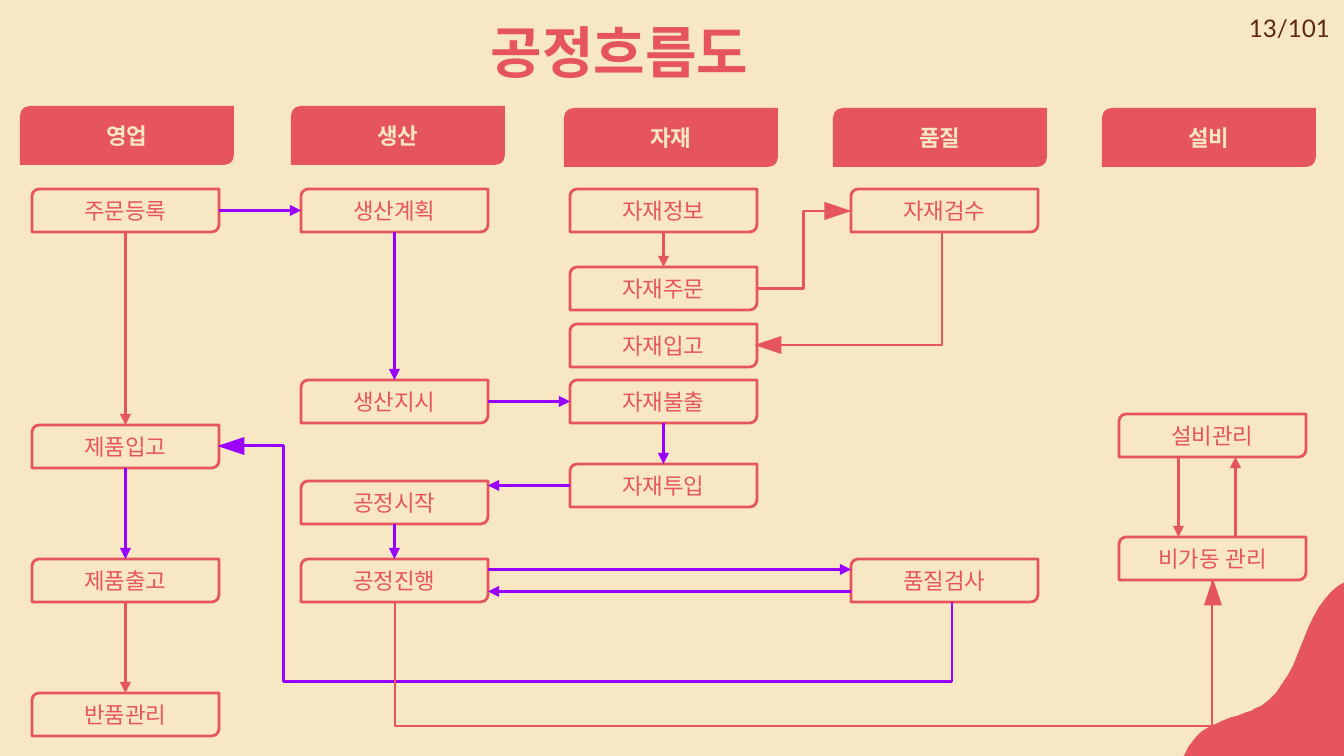
from lxml.etree import SubElement
from pptx import Presentation
from pptx.dml.color import RGBColor
from pptx.enum.shapes import MSO_CONNECTOR as CONNECTOR, MSO_SHAPE as SHAPE
from pptx.enum.text import MSO_ANCHOR as ANCHOR, MSO_AUTO_SIZE as AUTO_SIZE, PP_ALIGN as ALIGN
from pptx.oxml.ns import qn
from pptx.util import Emu, Pt

PX = 914400 / 134.4
SLIDE_W, SLIDE_H = 1344, 756
COLORS = {"cream": "F7E7C3", "red": "E6555C", "purple": "9900FF", "brown": "5D2912"}

TITLE = "공정흐름도 "
PAGE = "13/101"

# department: header left, header top, step left, [(step, top)]
DEPARTMENTS = {
    "영업": (20, 106, 32, [("주문등록", 189), ("제품입고", 425), ("제품출고", 559), ("반품관리", 693)]),
    "생산": (291, 106, 301, [("생산계획", 189), ("생산지시", 380), ("공정시작", 481), ("공정진행", 559)]),
    "자재": (564, 108, 570, [("자재정보", 189), ("자재주문", 267), ("자재입고", 324),
                           ("자재불출", 380), ("자재투입", 464)]),
    "품질": (833, 108, 851, [("자재검수", 189), ("품질검사", 559)]),
    "설비": (1102, 108, 1119, [("설비관리", 414), ("비가동 관리", 537)]),
}
HEADER_W, HEADER_H = 214, 59
STEP_W, STEP_H = 187, 43

# from step, to step, color, sideways offset from the centre of the first step
FLOWS = [
    ("주문등록", "제품입고", "red", 0),
    ("제품입고", "제품출고", "purple", 0),
    ("제품출고", "반품관리", "red", 0),
    ("주문등록", "생산계획", "purple", 0),
    ("생산계획", "생산지시", "purple", 0),
    ("생산지시", "자재불출", "purple", 0),
    ("자재정보", "자재주문", "red", 0),
    ("자재불출", "자재투입", "purple", 0),
    ("자재투입", "공정시작", "purple", 0),
    ("공정시작", "공정진행", "purple", 0),
    ("공정진행", "품질검사", "purple", -11),
    ("품질검사", "공정진행", "purple", 11),
    ("설비관리", "비가동 관리", "red", -34),
    ("비가동 관리", "설비관리", "red", 23),
]

# start, end, x of the bend, color
SIDE_BENDS = [
    ((758, 289), (849, 211), 804, "red"),
    ((943, 233), (758, 345), 942, "red"),
    ((952, 682), (222, 446), 283, "purple"),
]
# start, end, y of the bend, color
DOWNTIME_BEND = ((395, 602), (1212, 579), 726, "red")
INSPECTION_DROP = ((952, 602), (952, 682), "purple")

# centre x, centre y, rotation, color
TIPS = [(838, 211, 90, "red"), (768, 345, 270, "red"), (1213, 592, 0, "red"), (231, 446, 270, "purple")]
TIP_W, TIP_H = 18, 27

BLOB_START = (1370, 576)
BLOB_CURVES = [
    ((1366, 576), (1361, 576), (1357, 578)),
    ((1300, 590), (1308, 677), (1261, 706)),
    ((1236, 720), (1207, 718), (1189, 746)),
    ((1184, 757), (1180, 769), (1172, 778)),
]
BLOB_CORNERS = [(1390, 778), (1390, 576)]


def px(*lengths):
    return [Emu(round(length * PX)) for length in lengths]


def rgb(color):
    return RGBColor.from_string(COLORS[color])


def write(frame, text, size, color, font="Roboto", bold=False, align=ALIGN.CENTER, anchor=ANCHOR.MIDDLE):
    frame.text = text
    frame.word_wrap = True
    frame.auto_size = AUTO_SIZE.NONE
    frame.vertical_anchor = anchor
    frame.margin_left = frame.margin_right = frame.margin_top = frame.margin_bottom = px(13)[0]
    paragraph = frame.paragraphs[0]
    paragraph.alignment = align
    run = paragraph.runs[0]
    run.font.name, run.font.size, run.font.bold = font, Pt(size), bold
    run.font.color.rgb = rgb(color)
    SubElement(run.font._element, qn("a:ea"), typeface=font)


def paint(shape, fill=None, line=None):
    shape.shadow.inherit = False
    if fill:
        shape.fill.solid()
        shape.fill.fore_color.rgb = rgb(fill)
    else:
        shape.fill.background()
    if line:
        shape.line.color.rgb = rgb(line)
        shape.line.width = Pt(1.5)
    else:
        shape.line.fill.background()


def connect(start, end, color, kind=CONNECTOR.STRAIGHT, arrow=False):
    connector = shapes.add_connector(kind, *px(*start, *end))
    connector.line.color.rgb = rgb(color)
    connector.line.width = Pt(1.5)
    if arrow:
        SubElement(connector.get_or_add_ln(), qn("a:tailEnd"), type="triangle")
    SubElement(connector._element.spPr, qn("a:effectLst"))
    return connector


def set_bend(connector, ratio):
    guides = connector._element.spPr.find(qn("a:prstGeom")).get_or_add_avLst()
    SubElement(guides, qn("a:gd"), name="adj1", fmla=f"val {round(ratio * 100000)}")


def bend_upright(start, end, bend_y, color):
    """Elbow that leaves and arrives vertically: a flat elbow turned by 270 degrees."""
    (x0, y0), (x1, y1) = start, end
    mid_x, mid_y = (x0 + x1) / 2, (y0 + y1) / 2
    half_w, half_h = (y0 - y1) / 2, (x1 - x0) / 2
    elbow = connect((mid_x - half_w, mid_y - half_h), (mid_x + half_w, mid_y + half_h),
                    color, CONNECTOR.ELBOW)
    elbow._element.spPr.find(qn("a:xfrm")).set("rot", str(270 * 60000))
    set_bend(elbow, (y0 - bend_y) / (y0 - y1))


def curve_points(start, control1, control2, end, steps=16):
    for step in range(1, steps + 1):
        t = step / steps
        weights = ((1 - t) ** 3, 3 * t * (1 - t) ** 2, 3 * t * t * (1 - t), t ** 3)
        yield tuple(sum(w * p[axis] for w, p in zip(weights, (start, control1, control2, end)))
                    for axis in (0, 1))


prs = Presentation()
prs.slide_width, prs.slide_height = px(SLIDE_W, SLIDE_H)
slide = prs.slides.add_slide(prs.slide_layouts[0])
shapes = slide.shapes
slide.background.fill.solid()
slide.background.fill.fore_color.rgb = rgb("cream")

subtitle = slide.placeholders[1]._element
subtitle.getparent().remove(subtitle)
title = shapes.title
title.left, title.top, title.width, title.height = px(46, -8, 1161, 106)
write(title.text_frame, TITLE, 30, "red", bold=True, anchor=ANCHOR.BOTTOM)

outline = [BLOB_START]
for curve in BLOB_CURVES:
    outline += curve_points(outline[-1], *curve)
builder = shapes.build_freeform(*BLOB_START, scale=PX)
builder.add_line_segments(outline[1:] + BLOB_CORNERS, close=True)
paint(builder.convert_to_shape(), fill="red")

corners = {}
for department, (header_x, header_y, step_x, steps) in DEPARTMENTS.items():
    header = shapes.add_shape(SHAPE.ROUND_2_DIAG_RECTANGLE, *px(header_x, header_y, HEADER_W, HEADER_H))
    paint(header, fill="red")
    write(header.text_frame, department, 12, "cream", bold=True)
    for name, step_y in steps:
        box = shapes.add_shape(SHAPE.ROUND_2_DIAG_RECTANGLE, *px(step_x, step_y, STEP_W, STEP_H))
        paint(box, line="red")
        write(box.text_frame, name, 12, "red")
        corners[name] = (step_x, step_y)

for source, target, color, offset in FLOWS:
    (x0, y0), (x1, y1) = corners[source], corners[target]
    if x0 == x1:
        x = x0 + STEP_W / 2 + offset
        ends = ((x, y0 + STEP_H), (x, y1)) if y0 < y1 else ((x, y0), (x, y1 + STEP_H))
    else:
        y = y0 + STEP_H / 2 + offset
        ends = ((x0 + STEP_W, y), (x1, y)) if x0 < x1 else ((x0, y), (x1 + STEP_W, y))
    connect(*ends, color, arrow=True)

for start, end, bend_x, color in SIDE_BENDS:
    elbow = connect(start, end, color, CONNECTOR.ELBOW)
    set_bend(elbow, (bend_x - start[0]) / (end[0] - start[0]))
bend_upright(*DOWNTIME_BEND)
connect(*INSPECTION_DROP)

for x, y, rotation, color in TIPS:
    tip = shapes.add_shape(SHAPE.FLOWCHART_EXTRACT, *px(x - TIP_W / 2, y - TIP_H / 2, TIP_W, TIP_H))
    tip.rotation = rotation
    paint(tip, fill=color)

page = shapes.add_textbox(*px(902, 0, 441, 56))
write(page.text_frame, PAGE, 13, "brown", font="Lato", align=ALIGN.RIGHT, anchor=ANCHOR.TOP)

prs.save("out.pptx")
